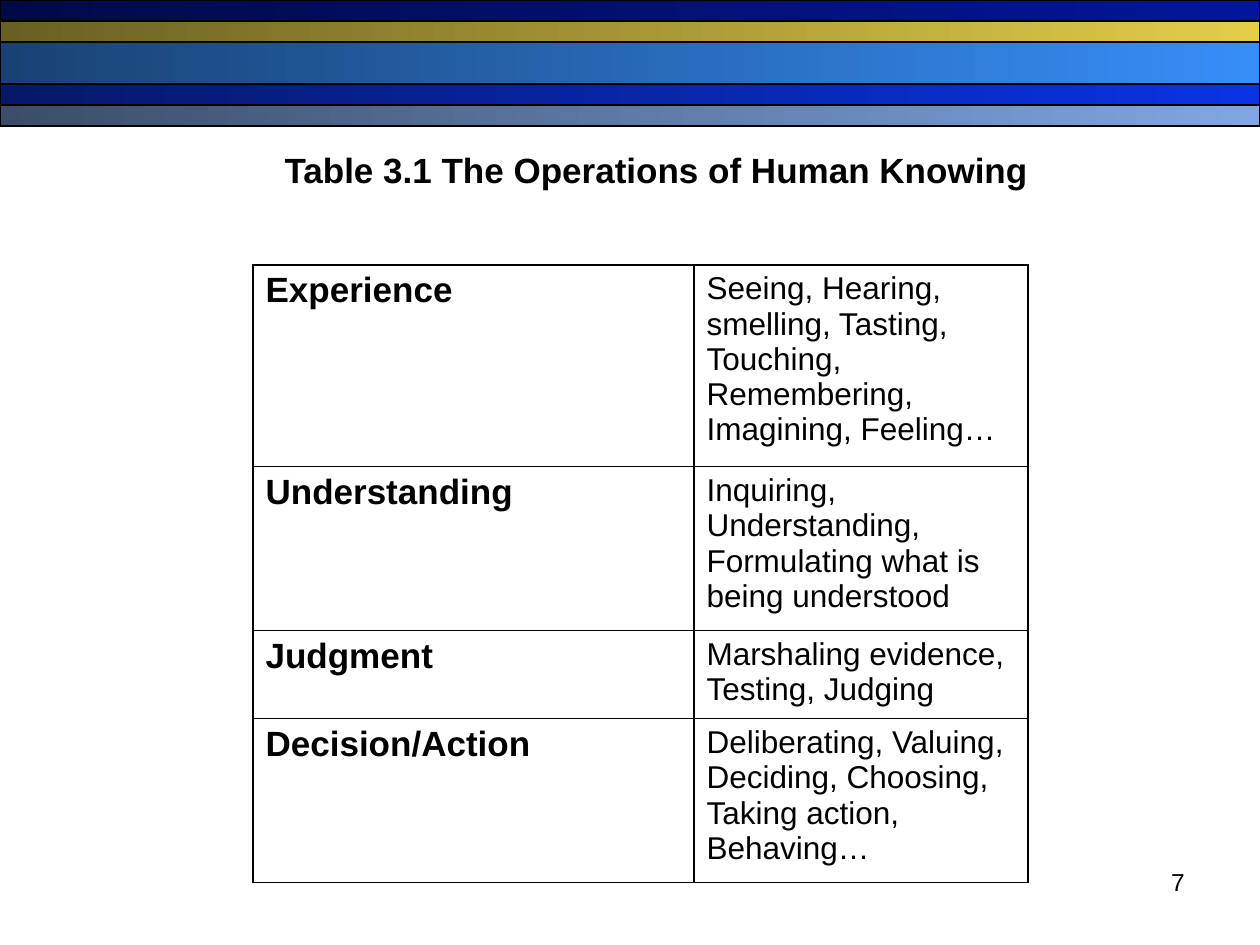
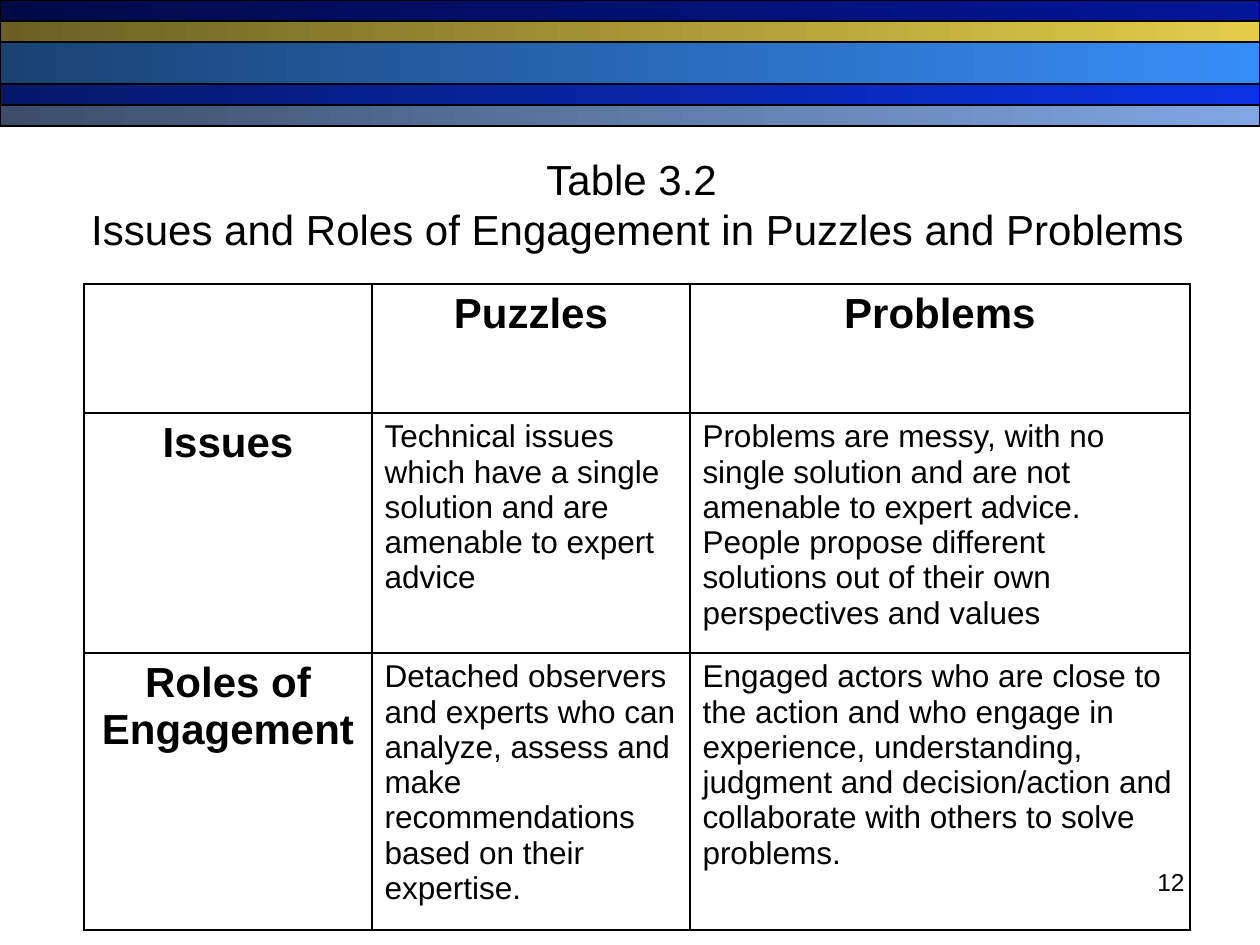
from dataclasses import dataclass

from lxml import etree
from pptx import Presentation
from pptx import util as u
from pptx.dml.color import RGBColor
from pptx.enum import shapes, text
from pptx.oxml import ns

SCALE = u.Inches(1) / 126
LEFT, MID, RIGHT = text.PP_ALIGN.LEFT, text.PP_ALIGN.CENTER, text.PP_ALIGN.RIGHT


@dataclass(frozen=True)
class Theme:
    font: str = "Arial"
    ink: str = "000000"
    edge: float = 0.75
    rule: int = 1
    page: int = 14
    body: int = 18
    label: int = 20
    head: int = 24


@dataclass(frozen=True)
class Band:
    top: int
    high: int
    dark: str
    light: str


@dataclass(frozen=True)
class Box:
    x: int
    y: int
    w: int
    h: int


@dataclass(frozen=True)
class Style:
    size: int
    bold: bool = False
    align: text.PP_ALIGN = LEFT


@dataclass(frozen=True)
class Title:
    box: Box
    lines: tuple[str, ...]
    style: Style
    anchor: text.MSO_ANCHOR


@dataclass(frozen=True)
class Grid:
    x: int
    y: int
    cols: tuple[int, ...]
    rows: tuple[int, ...]
    cells: tuple[tuple[str, ...], ...]
    label: Style
    header: bool = False


@dataclass(frozen=True)
class Page:
    number: int
    title: Title
    grid: Grid


THEME = Theme()
BODY = Style(THEME.body)
NUMBER = Style(THEME.page, align=RIGHT)
NUMBER_BOX = Box(903, 861, 294, 66)

BANDS = (
    Band(0, 21, "010A47", "021699"),
    Band(21, 21, "695F22", "E3CD49"),
    Band(42, 42, "194273", "378EF8"),
    Band(84, 21, "051869", "0A33E3"),
    Band(105, 21, "3B4D69", "80A6E3"),
)

PAGES = (
    Page(
        7,
        Title(
            Box(272, 142, 770, 54),
            ("Table 3.1 The Operations of Human Knowing",),
            Style(THEME.label, True),
            text.MSO_ANCHOR.TOP,
        ),
        Grid(
            253, 265, (441, 334), (189, 153, 83, 154),
            (
                ("Experience", "Seeing, Hearing, smelling, Tasting, Touching, "
                 "Remembering, Imagining, Feeling…"),
                ("Understanding", "Inquiring, Understanding, Formulating what is "
                 "being understood"),
                ("Judgment", "Marshaling evidence, Testing, Judging"),
                ("Decision/Action", "Deliberating, Valuing, Deciding, Choosing, "
                 "Taking action, Behaving…"),
            ),
            Style(THEME.label, True),
        ),
    ),
    Page(
        12,
        Title(
            Box(78, 147, 1119, 114),
            ("Table 3.2 ", "Issues and Roles of Engagement in Puzzles and Problems"),
            Style(THEME.head, align=MID),
            text.MSO_ANCHOR.MIDDLE,
        ),
        Grid(
            84, 284, (288, 318, 500), (129, 240, 277),
            (
                ("", "Puzzles", "Problems"),
                ("Issues",
                 "Technical issues which have a single solution and are amenable "
                 "to expert advice",
                 "Problems are messy, with no single solution and are not amenable "
                 "to expert advice. People propose different solutions out of "
                 "their own perspectives and values"),
                ("Roles of Engagement ",
                 "Detached observers and experts who can analyze, assess and make "
                 "recommendations based on their expertise.",
                 "Engaged actors who are close to the action and who engage in "
                 "experience, understanding, judgment and decision/action and "
                 "collaborate with others to solve problems."),
            ),
            Style(THEME.head, True, MID),
            header=True,
        ),
    ),
)


def px(n: int) -> u.Emu:
    return u.Emu(round(n * SCALE))


def place(box: Box) -> tuple[u.Emu, ...]:
    return px(box.x), px(box.y), px(box.w), px(box.h)


def color(code: str) -> RGBColor:
    return RGBColor.from_string(code)


def write(frame, lines: tuple[str, ...], style: Style) -> None:
    for i, line in enumerate(lines):
        para = frame.add_paragraph() if i else frame.paragraphs[0]
        para.alignment = style.align
        run = para.add_run()
        run.text = line
        font = run.font
        font.name, font.size, font.bold = THEME.font, u.Pt(style.size), style.bold
        font.color.rgb = color(THEME.ink)


def draw_band(slide, band: Band, width: int) -> None:
    bar = slide.shapes.add_shape(
        shapes.MSO_SHAPE.RECTANGLE, 0, px(band.top), width, px(band.high))
    bar.shadow.inherit = False
    bar.fill.gradient()
    bar.fill.gradient_angle = 0
    for stop, code in zip(bar.fill.gradient_stops, (band.dark, band.light)):
        stop.color.rgb = color(code)
    bar.line.color.rgb = color(THEME.ink)
    bar.line.width = u.Pt(THEME.edge)


def draw_title(slide, title: Title) -> None:
    shape = slide.shapes.title
    shape.left, shape.top, shape.width, shape.height = place(title.box)
    frame = shape.text_frame
    frame.word_wrap = False
    frame.auto_size = text.MSO_AUTO_SIZE.SHAPE_TO_FIT_TEXT
    frame.vertical_anchor = title.anchor
    write(frame, title.lines, title.style)


def draw_number(slide, number: int) -> None:
    frame = slide.shapes.add_textbox(*place(NUMBER_BOX)).text_frame
    frame.word_wrap = True
    write(frame, (str(number),), NUMBER)


def rule_cell(cell) -> None:
    """Clear the fill and rule all four sides; lines must precede the fill."""
    cell.fill.background()
    props = cell._tc.get_or_add_tcPr()
    for i, side in enumerate(("lnL", "lnR", "lnT", "lnB")):
        line = etree.Element(ns.qn(f"a:{side}"), w=str(u.Pt(THEME.rule)))
        fill = etree.SubElement(line, ns.qn("a:solidFill"))
        etree.SubElement(fill, ns.qn("a:srgbClr"), val=THEME.ink)
        props.insert(i, line)


def draw_grid(slide, grid: Grid) -> None:
    box = Box(grid.x, grid.y, sum(grid.cols), sum(grid.rows))
    table = slide.shapes.add_table(
        len(grid.rows), len(grid.cols), *place(box)).table
    table.first_row = table.horz_banding = False
    for col, width in zip(table.columns, grid.cols):
        col.width = px(width)
    for r, (row, height) in enumerate(zip(table.rows, grid.rows)):
        row.height = px(height)
        for c, cell in enumerate(row.cells):
            rule_cell(cell)
            label = c == 0 or (grid.header and r == 0)
            if words := grid.cells[r][c]:
                write(cell.text_frame, (words,), grid.label if label else BODY)


def main() -> None:
    deck = Presentation()
    deck.slide_width, deck.slide_height = px(1260), px(945)
    for page in PAGES:
        slide = deck.slides.add_slide(deck.slide_layouts.get_by_name("Title Only"))
        for band in BANDS:
            draw_band(slide, band, deck.slide_width)
        draw_number(slide, page.number)
        draw_grid(slide, page.grid)
        draw_title(slide, page.title)
    deck.save("out.pptx")


if __name__ == "__main__":
    main()
